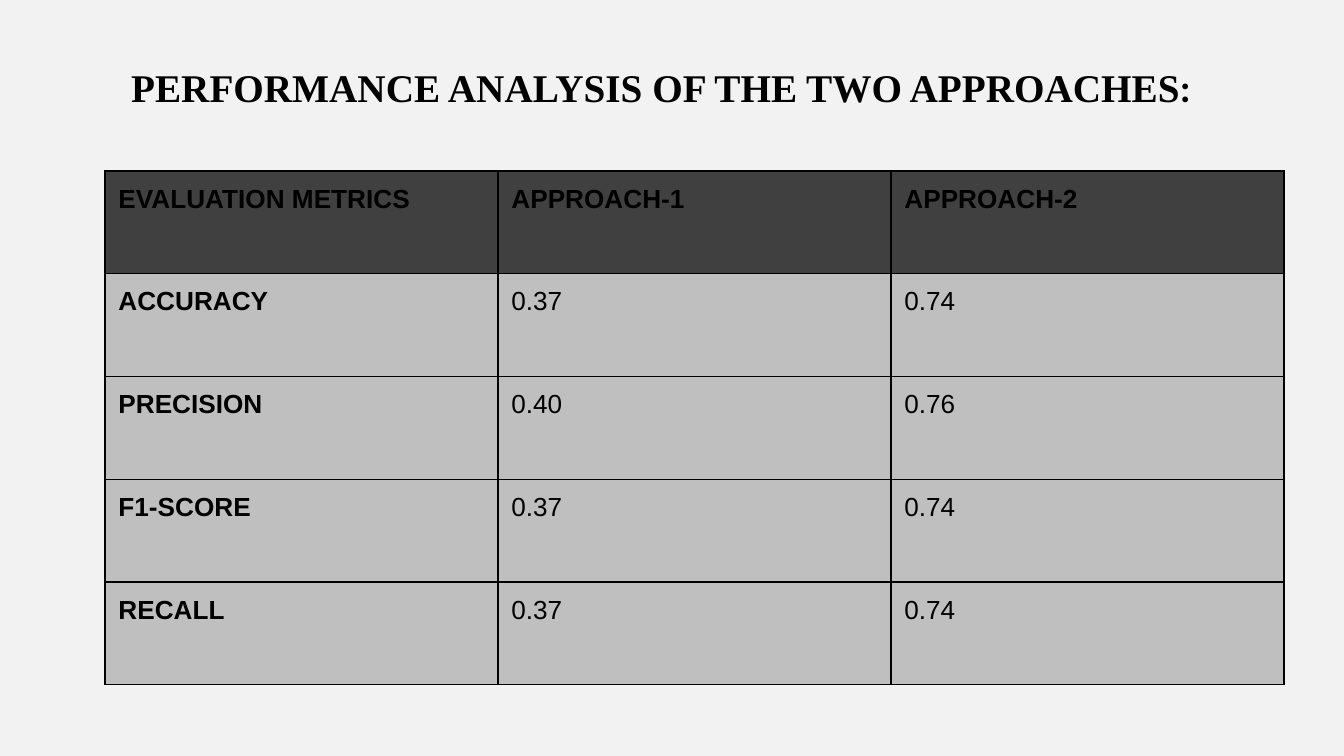
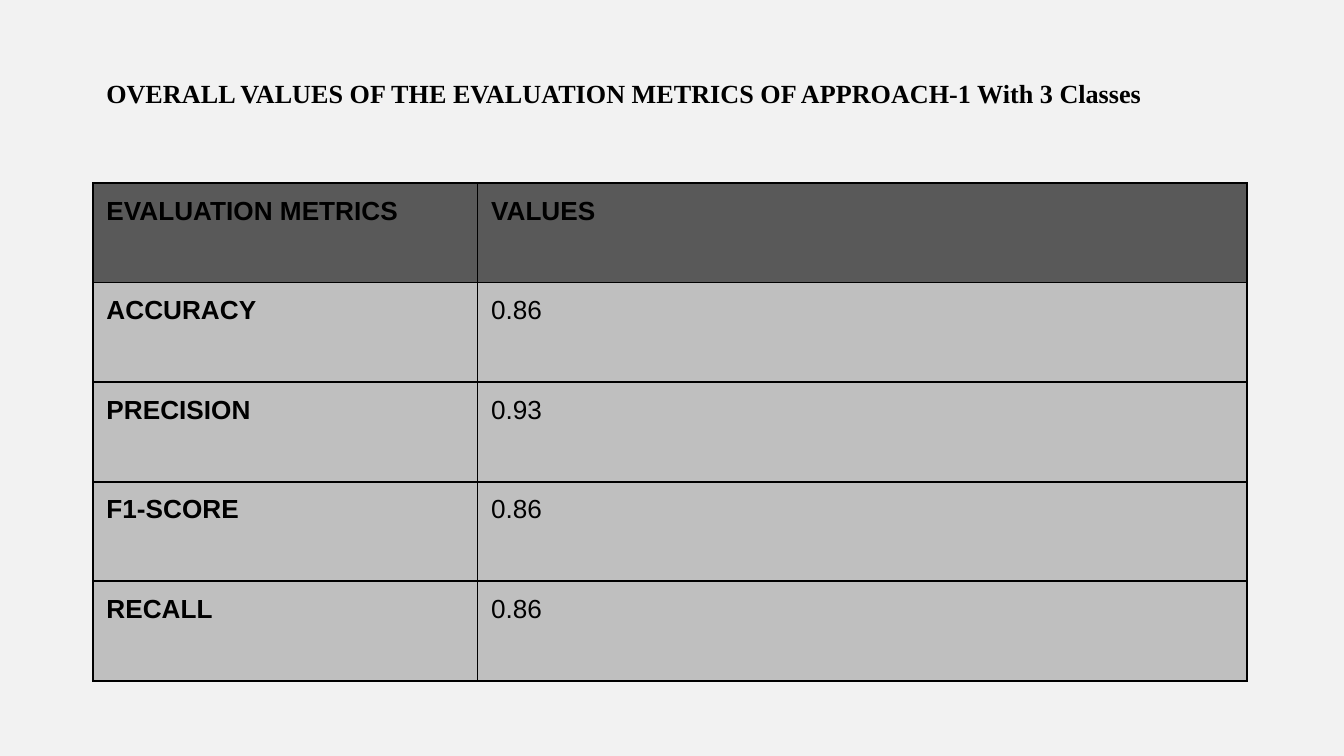
import pptx
import pptx.dml.color
import pptx.enum.text
import pptx.oxml
import pptx.oxml.ns
import pptx.util

# Content
SLIDES = [
    {
        "title": [("PERFORMANCE ANALYSIS OF THE TWO APPROACHES", "Times New Roman"),
                  (":", "Calibri")],
        "title_box": (60, 50, 1202, 93), "title_size": 21,
        "title_align": "CENTER", "title_inset": 0.1,
        "rows": [
            ("EVALUATION METRICS", "APPROACH-1", "APPROACH-2"),
            ("ACCURACY", "0.37", "0.74"),
            ("PRECISION", "0.40", "0.76"),
            ("F1-SCORE", "0.37", "0.74"),
            ("RECALL", "0.37", "0.74"),
        ],
        "table_box": (105, 171, 1179, 514), "col_weights": (1, 1, 1),
        "header_fill": "404040", "border": 0.75,
    },
    {
        "title": [("OVERALL VALUES OF THE EVALUATION METRICS OF APPROACH-1 With 3 Classes",
                   "Times New Roman")],
        "title_box": (93, 71, 1154, 46), "title_size": 14,
        "title_align": "LEFT", "title_inset": 0.05,
        "rows": [
            ("EVALUATION METRICS", "VALUES"),
            ("ACCURACY", "0.86"),
            ("PRECISION", "0.93"),
            ("F1-SCORE", "0.86"),
            ("RECALL", "0.86"),
        ],
        "table_box": (93, 183, 1154, 498), "col_weights": (1, 2),
        "header_fill": "595959", "border": 1,
    },
]

# Shared style
BACKGROUND, BODY_FILL, INK = "F2F2F2", "BFBFBF", "000000"
CELL_FONT, CELL_SIZE, CELL_INSET = "Arial", 14, 0.1
SCALE = 914400 / 134.4


def px(n):
    return pptx.util.Emu(round(n * SCALE))


def color(value):
    return pptx.dml.color.RGBColor.from_string(value)


def paint(fill, value):
    fill.solid()
    fill.fore_color.rgb = color(value)


def add_run(p, text, name, size, bold):
    r = p.add_run()
    r.text = text
    for key, value in {"name": name, "size": pptx.util.Pt(size), "bold": bold}.items():
        setattr(r.font, key, value)
    r.font.color.rgb = color(INK)


def set_insets(target, side, end):
    insets = {"margin_left": side, "margin_right": side,
              "margin_top": end, "margin_bottom": end}
    for key, value in insets.items():
        setattr(target, key, pptx.util.Inches(value))


def add_title(s, item):
    tf = s.shapes.add_textbox(*map(px, item["title_box"])).text_frame
    tf.word_wrap = True
    set_insets(tf, 0.1, item["title_inset"])
    p = tf.paragraphs[0]
    p.alignment = getattr(pptx.enum.text.PP_ALIGN, item["title_align"])
    for text, name in item["title"]:
        add_run(p, text, name, item["title_size"], True)


def set_borders(cell, width):
    tc_pr = cell._tc.get_or_add_tcPr()
    for side in "LRTB":
        tc_pr.append(pptx.oxml.parse_xml(
            f'<a:ln{side} {pptx.oxml.ns.nsdecls("a")} w="{pptx.util.Pt(width)}">'
            f'<a:solidFill><a:srgbClr val="{INK}"/></a:solidFill></a:ln{side}>'))


def add_metrics_table(s, item):
    rows, weights = item["rows"], item["col_weights"]
    x, y, w, h = item["table_box"]
    table = s.shapes.add_table(len(rows), len(weights), px(x), px(y), px(w), px(h)).table
    for col, weight in zip(table.columns, weights):
        col.width = px(w * weight / sum(weights))
    for i, row in enumerate(rows):
        table.rows[i].height = px(h / len(rows))
        for j, text in enumerate(row):
            cell = table.cell(i, j)
            set_insets(cell, CELL_INSET, CELL_INSET)
            set_borders(cell, item["border"])
            paint(cell.fill, item["header_fill"] if i == 0 else BODY_FILL)
            # Header row and metric names are bold
            add_run(cell.text_frame.paragraphs[0], text, CELL_FONT, CELL_SIZE,
                    i == 0 or j == 0)


def main():
    prs = pptx.Presentation()
    prs.slide_width, prs.slide_height = px(1344), px(756)
    for item in SLIDES:
        s = prs.slides.add_slide(prs.slide_layouts[6])
        paint(s.background.fill, BACKGROUND)
        add_title(s, item)
        add_metrics_table(s, item)
    prs.save("out.pptx")


if __name__ == "__main__":
    main()
